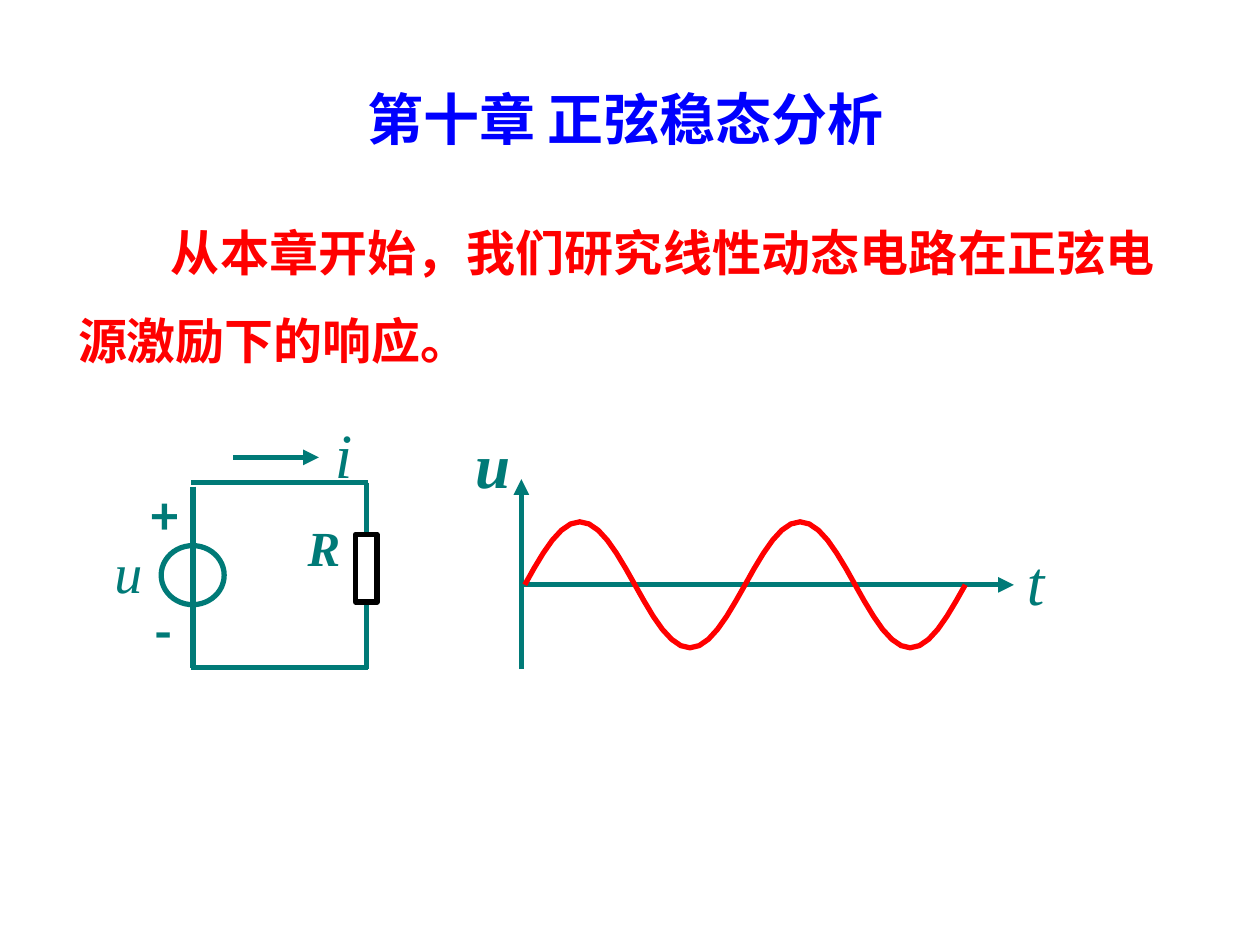
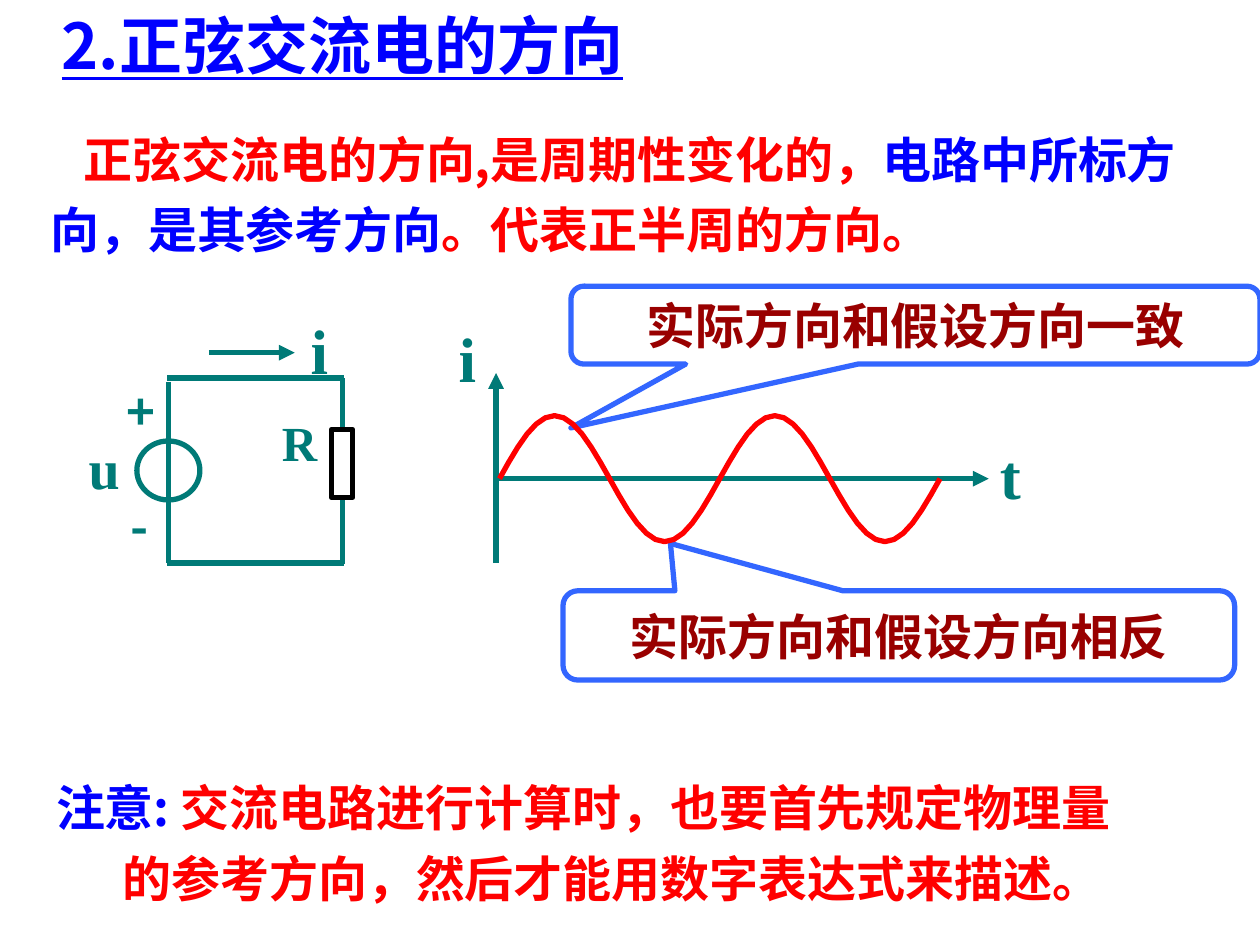
from math import pi, sin

from lxml.etree import SubElement as Sub
from pptx import Presentation
from pptx.dml.color import RGBColor as Rgb
from pptx.enum.shapes import MSO_CONNECTOR as Link, MSO_SHAPE as Kind
from pptx.enum.text import MSO_ANCHOR as Anchor, MSO_AUTO_SIZE as Fit, PP_ALIGN as Align
from pptx.oxml.ns import qn
from pptx.util import Cm, Pt

HUES = {"blue": "0000FF", "red": "FF0000", "teal": "007A77", "sky": "3366FF",
        "wine": "990000", "white": "FFFFFF", "black": "000000"}
SANS, SERIF = "Noto Sans CJK SC", "Times New Roman"


def write(shape, *runs, size=28, font=SANS, bold=True, italic=False, under=False,
          align=Align.LEFT, space=1.0, left=0, first=0, anchor=Anchor.TOP):
    """Add one paragraph made of (text, hue) runs."""
    frame = shape.text_frame
    frame.word_wrap, frame.auto_size = True, Fit.NONE
    frame.vertical_anchor = anchor
    para = frame.add_paragraph() if frame.text else frame.paragraphs[0]
    props = para._p.get_or_add_pPr()
    props.set("marL", str(Cm(left)))
    props.set("indent", str(Cm(first)))
    Sub(props, qn("a:buNone"))
    para.alignment, para.line_spacing, para.space_before = align, space, Pt(0)
    for text, hue in runs:
        run = para.add_run()
        run.text = text
        face = run.font
        face.size, face.name, face.bold = Pt(size), font, bold
        face.italic, face.underline = italic, under
        face.color.rgb = Rgb.from_string(HUES[hue])
        Sub(run._r.get_or_add_rPr(), qn("a:ea"), typeface=SANS)


def wire(slide, x1, y1, x2, y2, arrow=False):
    """Draw a straight teal line, with an arrowhead at its end if asked."""
    link = slide.shapes.add_connector(Link.STRAIGHT, Cm(x1), Cm(y1), Cm(x2), Cm(y2))
    link.line.color.rgb = Rgb.from_string(HUES["teal"])
    link.line.width = Pt(3)
    if arrow:
        Sub(link.line._get_or_add_ln(), qn("a:tailEnd"), type="triangle")
    Sub(link._element.spPr, qn("a:effectLst"))


deck = Presentation()
deck.slide_width, deck.slide_height = Cm(25.4), Cm(19.05)

# Placeholders: title box and body box of each slide
frames = [((1.5, 1.22, 22.23, 2.34), (1.32, 3.76, 22.23, 3.81)),
          ((0.99, 0, 19.71, 2.1), (0.76, 2.24, 23.65, 3.1))]
slides = []
for boxes in frames:
    slide = deck.slides.add_slide(deck.slide_layouts[1])
    for holder, box in zip(slide.placeholders, boxes):
        holder.left, holder.top, holder.width, holder.height = map(Cm, box)
    slides.append(slide)
start, turn = slides

# Slide 1 text
write(start.shapes.title, ("第十章 正弦稳态分析", "blue"), size=32,
      align=Align.CENTER, anchor=Anchor.MIDDLE)
write(start.placeholders[1], ("从本章开始，我们研究线性动态电路在正弦电源激励下的响应。", "red"),
      font=SERIF, align=Align.JUSTIFY, space=1.5, first=1.87)

# Slide 2 text
write(turn.shapes.title, ("2.正弦交流电的方向", "blue"), size=36, under=True)
write(turn.placeholders[1], ("正弦交流电的方向,是周期性变化的，", "red"),
      ("电路中所标方向，是其参考方向", "blue"), ("。代表正半周的方向。", "red"),
      space=1.2, first=0.67)
note = turn.shapes.add_textbox(Cm(0.66), Cm(15.32), Cm(24.05), Cm(3.1))
write(note, ("注意: ", "blue"), ("交流电路进行计算时，也要首先规定物理量", "red"),
      space=1.2, left=0.22)
write(note, ("的参考方向，然后才能用数字表达式来描述。", "red"), space=1.2, left=1.56)

# Callouts: text, box, pointer tip
calls = [("实际方向和假设方向一致", (11.51, 5.77, 13.89, 1.57), (-0.5, 1.32)),
         ("实际方向和假设方向相反", (11.35, 11.91, 13.54, 1.8), (-0.34, -1.03))]
drawn = []  # shape, fill hue, line hue
for text, box, tip in calls:
    call = turn.shapes.add_shape(Kind.ROUNDED_RECTANGULAR_CALLOUT, *map(Cm, box))
    call.adjustments[0], call.adjustments[1] = tip
    write(call, (text, "wine"), align=Align.CENTER, anchor=Anchor.MIDDLE)
    drawn.append((call, "white", "sky"))

# Circuit and wave, measured from the circuit's top left corner and the axes' origin
wires = [(0, 0.08, 0, 3.73), (-0.03, 0, 3.53, 0), (-0.03, 3.73, 3.53, 3.73),
         (3.5, 0, 3.5, 3.76), (0.81, -0.51, 2.54, -0.51, True)]
axes = [(-0.03, 1.7, -0.03, -2.13, True), (0, 0, 9.9, 0, True)]
parts = [(Kind.OVAL, (-0.64, 1.27, 1.27, 1.19), None, "teal"),
         (Kind.RECTANGLE, (3.28, 1.04, 0.43, 1.37), "white", "black")]
# Labels: text, centre, top, size, bold on slide 1
marks = [("i", 3.04, -1.47, 36, False), ("u", -1.3, 0.99, 32, False),
         ("R", 2.64, 0.58, 28, True), ("+", -0.56, -0.05, 28, True),
         ("-", -0.59, 2.26, 28, True)]
HALF, PEAK, STEPS, WIDE = 2.22, 1.27, 12, 1.3

plans = [(start, (3.89, 9.73), (10.54, 11.79), "u", True),
         (turn, (3.4, 7.62), (10.03, 9.65), "i", False)]
for slide, loop, zero, name, slant in plans:
    tags = [("t", 10.34, -0.97, 36, False), (name, -0.61, -3.33, 36, True)]
    for (x, y), lines, labels in ((zero, axes, tags), (loop, wires, marks)):
        for x1, y1, x2, y2, *arrow in lines:
            wire(slide, x + x1, y + y1, x + x2, y + y2, *arrow)
        for text, mid, top, size, heavy in labels:
            tag = slide.shapes.add_textbox(Cm(x + mid - WIDE / 2), Cm(y + top),
                                           Cm(WIDE), Cm(size * 0.05))
            sign = text in "+-"
            write(tag, (text, "teal"), size=size, font=SANS if sign else SERIF,
                  bold=heavy or not slant, italic=slant and not sign, align=Align.CENTER)

    # Source and resistor
    for kind, (x, y, w, h), fill, edge in parts:
        part = slide.shapes.add_shape(kind, Cm(loop[0] + x), Cm(loop[1] + y), Cm(w), Cm(h))
        drawn.append((part, fill, edge))

    # Two periods of the sine
    dots = [(Cm(zero[0] + 0.04 + HALF * k / STEPS), Cm(zero[1] - PEAK * sin(pi * k / STEPS)))
            for k in range(4 * STEPS + 1)]
    pen = slide.shapes.build_freeform(*dots[0])
    pen.add_line_segments(dots[1:], close=False)
    drawn.append((pen.convert_to_shape(), None, "red"))

# Fill and outline of every drawn shape
for shape, fill, edge in drawn:
    shape.shadow.inherit = False
    if fill:
        shape.fill.solid()
        shape.fill.fore_color.rgb = Rgb.from_string(HUES[fill])
    else:
        shape.fill.background()
    shape.line.color.rgb = Rgb.from_string(HUES[edge])
    shape.line.width = Pt(3)

deck.save("out.pptx")
